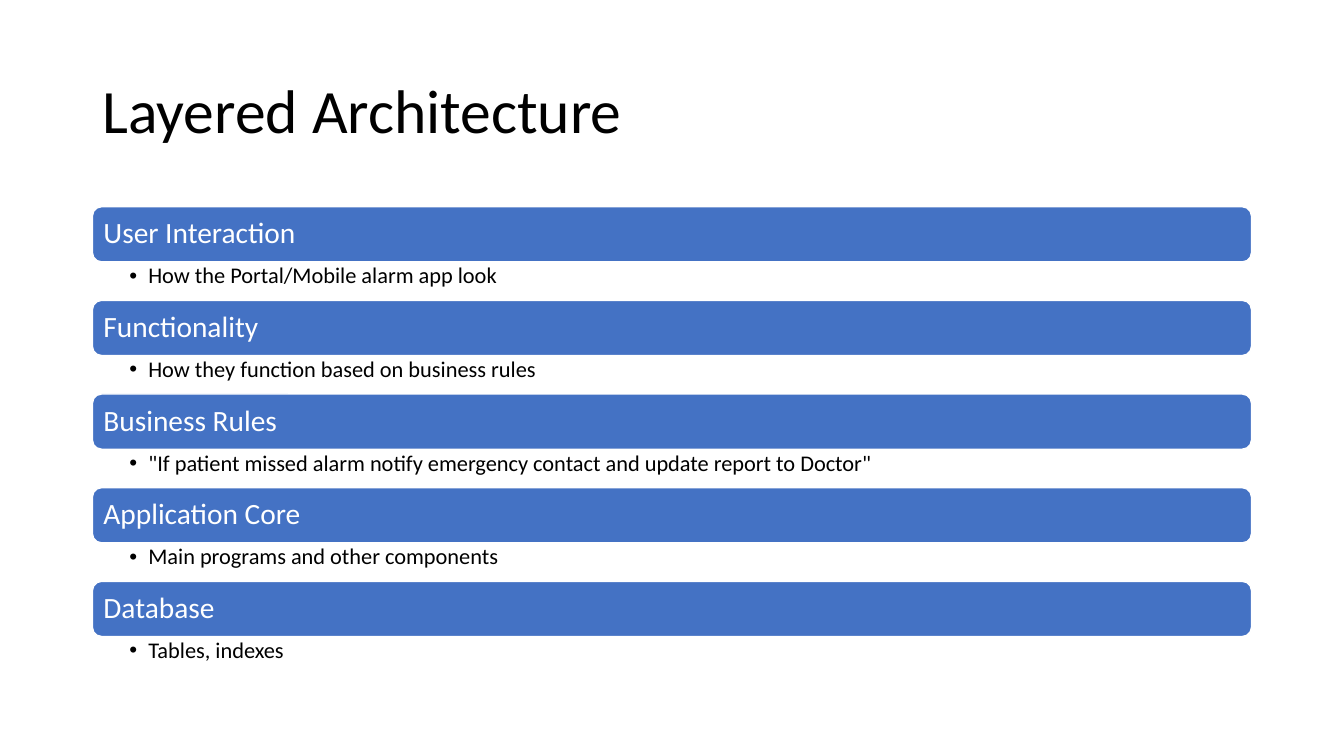
from lxml.etree import SubElement
from pptx import Presentation
from pptx.dml.color import RGBColor
from pptx.enum.shapes import MSO_SHAPE as Kind
from pptx.enum.text import MSO_ANCHOR as Anchor, MSO_AUTO_SIZE as Fit, PP_ALIGN as Align
from pptx.oxml.ns import qn
from pptx.util import Cm, Pt

TITLE = "Layered Architecture"
LAYERS = [
    ("User Interaction", "How the Portal/Mobile alarm app look"),
    ("Functionality", "How they function based on business rules"),
    ("Business Rules", '"If patient missed alarm notify emergency contact and update report to Doctor"'),
    ("Application Core", "Main programs and other components"),
    ("Database", "Tables, indexes"),
]
FONT = "Calibri"
BLUE = RGBColor(0x44, 0x72, 0xC4)
WHITE = RGBColor(0xFF, 0xFF, 0xFF)
BLACK = RGBColor(0, 0, 0)
LEFT, WIDE = Cm(2.33), Cm(29.21)
TOP, BAR, NOTE = Cm(5.21), Cm(1.39), Cm(0.97)


def write(shape, text, size, color, anchor, pads):
    """Fill a shape with one left-aligned line and return its paragraph."""
    frame = shape.text_frame
    frame.word_wrap = True
    frame.auto_size = Fit.NONE
    frame.vertical_anchor = anchor
    frame.margin_left, frame.margin_top, frame.margin_right, frame.margin_bottom = map(Cm, pads)
    para = frame.paragraphs[0]
    para.alignment = Align.LEFT
    para.line_spacing = 0.9
    run = para.add_run()
    run.text = text
    run.font.name = FONT
    run.font.size = Pt(size)
    run.font.color.rgb = color
    return para


def add_bar(slide, text, top):
    """Draw the rounded bar that names a layer."""
    bar = slide.shapes.add_shape(Kind.ROUNDED_RECTANGLE, LEFT, top, WIDE, BAR)
    bar.shadow.inherit = False
    bar.fill.solid()
    bar.fill.fore_color.rgb = BLUE
    bar.line.color.rgb = WHITE
    bar.line.width = Pt(1)
    write(bar, text, 21, WHITE, Anchor.MIDDLE, (0.21, 0.2, 0.21, 0.2))


def add_note(slide, text, top):
    """Add the bulleted line under a bar."""
    box = slide.shapes.add_textbox(LEFT, top, WIDE, NOTE)
    para = write(box, text, 16, BLACK, Anchor.TOP, (0.93, 0.07, 0.41, 0.07))
    para.level = 1
    props = para._p.get_or_add_pPr()
    props.set("marL", str(Cm(0.48)))
    props.set("indent", str(-Cm(0.48)))
    SubElement(props, qn("a:buFont")).set("typeface", "Arial")
    SubElement(props, qn("a:buChar")).set("char", "•")


deck = Presentation()
deck.slide_width, deck.slide_height = Cm(33.87), Cm(19.05)
slide = deck.slides.add_slide(deck.slide_layouts[5])
title = slide.shapes.title
title.left, title.top, title.width, title.height = LEFT, Cm(1.01), WIDE, Cm(3.68)
write(title, TITLE, 44, BLACK, Anchor.MIDDLE, (0.25, 0.13, 0.25, 0.13))

for row, (name, note) in enumerate(LAYERS):
    top = TOP + row * (BAR + NOTE)
    add_bar(slide, name, top)
    add_note(slide, note, top + BAR)

deck.save("out.pptx")
